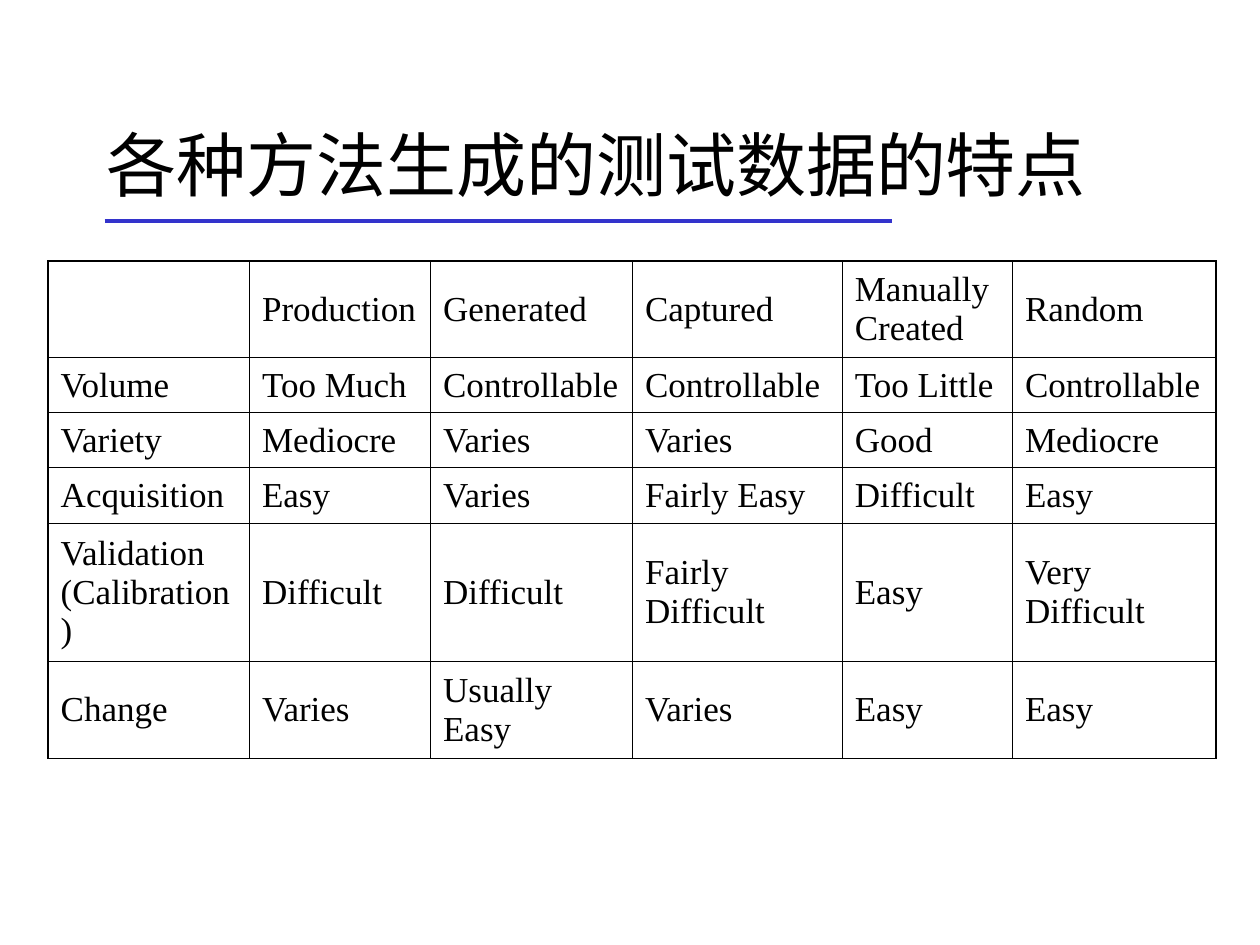
from dataclasses import dataclass

from lxml.etree import SubElement
from pptx import Presentation
from pptx.dml.color import RGBColor
from pptx.enum.shapes import MSO_CONNECTOR
from pptx.enum.text import MSO_ANCHOR, MSO_AUTO_SIZE, PP_ALIGN
from pptx.oxml import parse_xml
from pptx.oxml.ns import nsdecls, qn
from pptx.util import Cm, Pt

COLORS = {"text": "000000", "border": "000000", "rule": "3333CC"}
LATIN_FONT = "Times New Roman"
CJK_FONT = "Noto Sans CJK SC"
THIN, THICK = Pt(0.45), Pt(1.08)


@dataclass
class Column:
    header: str
    width: float  # cm


@dataclass
class Row:
    label: str
    height: float  # cm
    values: list[str]


COLUMNS = [
    Column("", 4.06),
    Column("Production", 3.65),
    Column("Generated", 4.07),
    Column("Captured", 4.23),
    Column("Manually Created", 3.43),
    Column("Random", 4.11),
]
HEADER_HEIGHT = 1.95
ROWS = [
    Row("Volume", 1.11, ["Too Much", "Controllable", "Controllable", "Too Little", "Controllable"]),
    Row("Variety", 1.11, ["Mediocre", "Varies", "Varies", "Good", "Mediocre"]),
    Row("Acquisition", 1.11, ["Easy", "Varies", "Fairly Easy", "Difficult", "Easy"]),
    Row("Validation (Calibration)", 2.8,
        ["Difficult", "Difficult", "Fairly Difficult", "Easy", "Very Difficult"]),
    Row("Change", 1.95, ["Varies", "Usually Easy", "Varies", "Easy", "Easy"]),
]


def format_run(r, font: str, size: float) -> None:
    r.font.name = font
    r.font.size = Pt(size)
    r.font.color.rgb = RGBColor.from_string(COLORS["text"])
    SubElement(r.font._element, qn("a:ea")).set("typeface", font)


def set_borders(cell, widths: dict[str, int]) -> None:
    """Put the border lines ahead of the fill, as the schema asks."""
    tc_pr = cell._tc.get_or_add_tcPr()
    for i, (side, width) in enumerate(widths.items()):
        tc_pr.insert(i, parse_xml(
            f'<a:ln{side} {nsdecls("a")} w="{int(width)}"><a:solidFill>'
            f'<a:srgbClr val="{COLORS["border"]}"/></a:solidFill></a:ln{side}>'))


def add_title(s, text: str) -> None:
    sp = s.shapes.title
    sp.left, sp.top, sp.width, sp.height = Cm(1.9), Cm(1.7), Cm(21.6), Cm(3.18)
    tf = sp.text_frame
    tf.text = text
    tf.word_wrap = True
    tf.auto_size = MSO_AUTO_SIZE.NONE
    tf.vertical_anchor = MSO_ANCHOR.MIDDLE
    p = tf.paragraphs[0]
    p.alignment = PP_ALIGN.LEFT
    format_run(p.runs[0], CJK_FONT, 40)


def add_rule(s) -> None:
    line = s.shapes.add_connector(MSO_CONNECTOR.STRAIGHT, Cm(2.11), Cm(4.45), Cm(17.98), Cm(4.45))
    line.line.color.rgb = RGBColor.from_string(COLORS["rule"])
    line.line.width = Pt(2.25)
    SubElement(line._element.spPr, qn("a:effectLst"))


def fill_cell(cell, text: str) -> None:
    cell.fill.background()
    cell.vertical_anchor = MSO_ANCHOR.MIDDLE
    if text:
        cell.text_frame.text = text
        p = cell.text_frame.paragraphs[0]
        p.space_before = Pt(5)
        format_run(p.runs[0], LATIN_FONT, 20)


def add_comparison_table(s, columns: list[Column], rows: list[Row]) -> None:
    grid = [Row(columns[0].header, HEADER_HEIGHT, [c.header for c in columns[1:]]), *rows]
    width = sum(c.width for c in columns)
    height = sum(row.height for row in grid)
    table = s.shapes.add_table(len(grid), len(columns), Cm(0.97), Cm(5.26),
                               Cm(width), Cm(height)).table
    table.first_row = table.horz_banding = False
    for i, column in enumerate(columns):
        table.columns[i].width = Cm(column.width)

    last_row, last_col = len(grid) - 1, len(columns) - 1
    for i, row in enumerate(grid):
        table.rows[i].height = Cm(row.height)
        for j, text in enumerate([row.label, *row.values]):
            cell = table.cell(i, j)
            fill_cell(cell, text)
            # Outer edges are heavier than inner ones
            set_borders(cell, {
                "L": THICK if j == 0 else THIN,
                "R": THICK if j == last_col else THIN,
                "T": THICK if i == 0 else THIN,
                "B": THICK if i == last_row else THIN,
            })


def main() -> None:
    prs = Presentation()
    prs.slide_width, prs.slide_height = Cm(25.4), Cm(19.05)
    s = prs.slides.add_slide(prs.slide_layouts[5])  # title only
    add_rule(s)
    add_title(s, "各种方法生成的测试数据的特点")
    add_comparison_table(s, COLUMNS, ROWS)
    prs.save("out.pptx")


if __name__ == "__main__":
    main()
